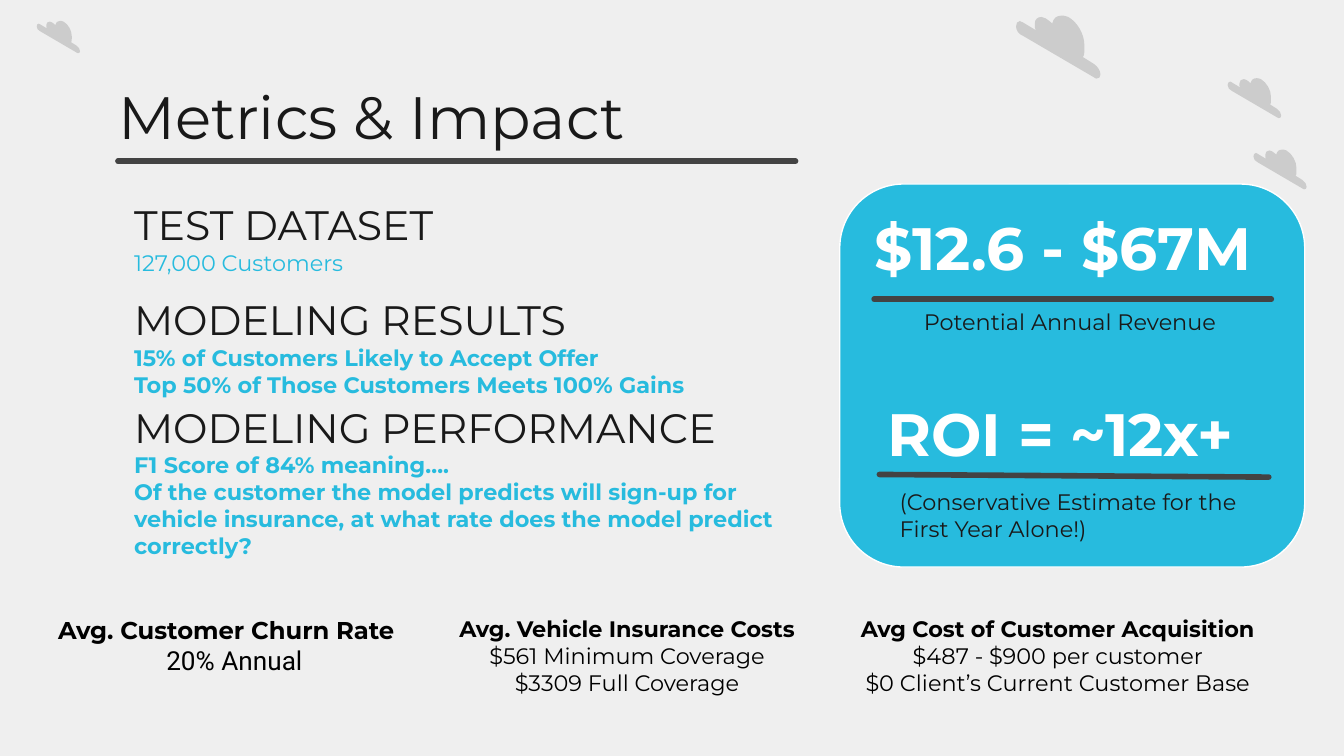
import pptx
import pptx.util
import pptx.dml.color
import pptx.enum.shapes
import pptx.enum.text
import pptx.oxml.ns
import lxml.etree

Pt = pptx.util.Pt
Shape = pptx.enum.shapes.MSO_SHAPE
Anchor = pptx.enum.text.MSO_ANCHOR
Align = pptx.enum.text.PP_ALIGN
Size = pptx.enum.text.MSO_AUTO_SIZE
qn = pptx.oxml.ns.qn

INK, BLUE, WHITE, BLACK = "191919", "27BBDE", "FFFFFF", "000000"
RULE, PAPER, GREY = "434343", "EFEFEF", "CCCCCC"
INSET = 7.2
SPAN = 63
CURVE = [
    (34, 0), (35, 0, 37, 0, 39, 1), (46, 5, 51, 14, 51, 22), (51, 26),
    (51, 28, 51, 30, 50, 31), (58, 36), (61, 38, 63, 41, 63, 44),
    (63, 46, 62, 47, 60, 47), (60, 47, 59, 47, 58, 46), (5, 15),
    (2, 14, 0, 11, 0, 8), (0, 6, 1, 4, 3, 4), (3, 4, 4, 5, 5, 5),
    (15, 11), (15, 10, 14, 10, 14, 9), (14, 6), (14, 3, 16, 1, 19, 1),
    (20, 1, 21, 1, 22, 2), (24, 3, 26, 5, 27, 6), (28, 2, 30, 0, 34, 0),
]


def paint(target, color):
    target.solid()
    target.fore_color.rgb = pptx.dml.color.RGBColor.from_string(color)


def cloud(slide, left, top, width):
    pen = slide.shapes.build_freeform(*CURVE[0], scale=Pt(width) / SPAN)
    pen.add_line_segments([part[-2:] for part in CURVE[1:]], close=True)
    shape = pen.convert_to_shape(Pt(left), Pt(top))
    shape.shadow.inherit = False
    paint(shape.fill, GREY)
    shape.line.fill.background()
    steps = list(shape.element.iter(qn("a:lnTo")))
    for step, part in zip(steps, CURVE[1:]):
        if len(part) == 6:
            step.clear()
            step.tag = qn("a:cubicBezTo")
            for x, y in zip(part[::2], part[1::2]):
                lxml.etree.SubElement(step, qn("a:pt"), x=str(x), y=str(y))


def rule(slide, x1, y1, x2, y2):
    link = slide.shapes.add_connector(
        pptx.enum.shapes.MSO_CONNECTOR.STRAIGHT, Pt(x1), Pt(y1), Pt(x2), Pt(y2))
    paint(link.line.fill, RULE)
    link.line.width = Pt(3)
    props = link.element.spPr
    props.find(qn("a:ln")).set("cap", "rnd")
    lxml.etree.SubElement(props, qn("a:effectLst"))


def words(slide, box, lines, align=Align.LEFT, anchor=Anchor.TOP,
          grow=True, top=INSET, bottom=INSET):
    shape = slide.shapes.add_textbox(*map(Pt, box))
    frame = shape.text_frame
    frame.word_wrap = True
    frame.auto_size = Size.SHAPE_TO_FIT_TEXT if grow else Size.NONE
    frame.vertical_anchor = anchor
    frame.margin_left = frame.margin_right = Pt(INSET)
    frame.margin_top, frame.margin_bottom = Pt(top), Pt(bottom)
    for i, (text, size, color, bold, *face) in enumerate(lines):
        para = frame.add_paragraph() if i else frame.paragraphs[0]
        para.alignment = align
        run = para.add_run()
        run.text = text
        run.font.size = Pt(size)
        run.font.bold = bold
        run.font.name = face[0] if face else "Montserrat"
        paint(run.font.fill, color)
    return frame


def header(slide, x, y, w, h):
    words(slide, (x, y, w, h), [("Metrics & Impact", 32, INK, False)],
          grow=False, top=0)
    rule(slide, x + 7, y + 43.9, x + 370, y + 43.9)


def finding(slide, box, head, notes, bold=True, spare=0):
    lines = [(head, 22, INK, False)] + [(note, 12, BLUE, bold) for note in notes]
    words(slide, box, lines, anchor=Anchor.MIDDLE, grow=False, bottom=INSET + spare)


def panel(slide, x, y, w, h):
    card = slide.shapes.add_shape(Shape.ROUNDED_RECTANGLE, Pt(x), Pt(y), Pt(w), Pt(h))
    card.shadow.inherit = False
    card.adjustments[0] = 0.167
    paint(card.fill, BLUE)
    paint(card.line.fill, WHITE)
    card.line.width = Pt(0.75)
    for dx, dy, wide, high, text, size, color, bold in (
        (11.6, 7.2, 243.4, 53.3, "$12.6 - $67M", 32, WHITE, True),
        (37.9, 59.4, 193.7, 28.8, "Potential Annual Revenue", 12, INK, False),
        (18.4, 106.6, 249.1, 53.3, "ROI = ~12x+", 32, WHITE, True),
        (24.9, 155.6, 212.4, 43.9,
         "(Conservative Estimate for the First Year Alone!)", 12, INK, False),
    ):
        words(slide, (x + dx, y + dy, wide, high), [(text, size, color, bold)])
    rule(slide, x + 18.4, y + 61.7, x + 231.2, y + 61.7)
    rule(slide, x + 21.2, y + 155.6, x + 229.8, y + 157)


def footer(slide, x, y):
    churn = words(slide, (x, y, 203, 47.5), [
        ("Avg. Customer Churn Rate", 13, BLACK, True),
        ("20% Annual", 14, BLACK, False, "Roboto")], Align.CENTER)
    churn.paragraphs[0].alignment = Align.LEFT
    for dx, wide, head, *notes in (
        (210.4, 203, "Avg. Vehicle Insurance Costs",
         "$561 Minimum Coverage", "$3309 Full Coverage"),
        (420.9, 243.4, "Avg Cost of Customer Acquisition",
         "$487 - $900 per customer", "$0 Client’s Current Customer Base"),
    ):
        lines = [(head, 12, BLACK, True)] + [(note, 12, BLACK, False) for note in notes]
        words(slide, (x + dx, y, wide, 58.3), lines, Align.CENTER)


def main():
    deck = pptx.Presentation()
    deck.slide_width, deck.slide_height = Pt(720), Pt(405)
    slide = deck.slides.add_slide(deck.slide_layouts[6])
    paint(slide.background.fill, PAPER)
    for spot in ((657.7, 41.9, 28.7), (544.3, 8.4, 45.2),
                 (19.7, 11.2, 23.2), (671.5, 80.2, 28.5)):
        cloud(slide, *spot)
    panel(slide, 449.9, 98.6, 249.1, 205.2)
    header(slide, 56.2, 42.5, 607.7, 37.4)
    finding(slide, (64.8, 105.8, 243.4, 43.2), "TEST DATASET",
            ["127,000 Customers"], bold=False)
    finding(slide, (64.8, 160.1, 331.2, 65.5), "MODELING RESULTS", [
        "15% of Customers Likely to Accept Offer",
        "Top 50% of Those Customers Meets 100% Gains"], spare=14.6)
    finding(slide, (64.8, 232, 384.5, 65.5), "MODELING PERFORMANCE", [
        "F1 Score of 84% meaning….",
        "Of the customer the model predicts will sign-up for vehicle insurance, "
        "at what rate does the model predict correctly?"], spare=14.6)
    footer(slide, 24.1, 322.4)
    deck.save("out.pptx")


if __name__ == "__main__":
    main()
